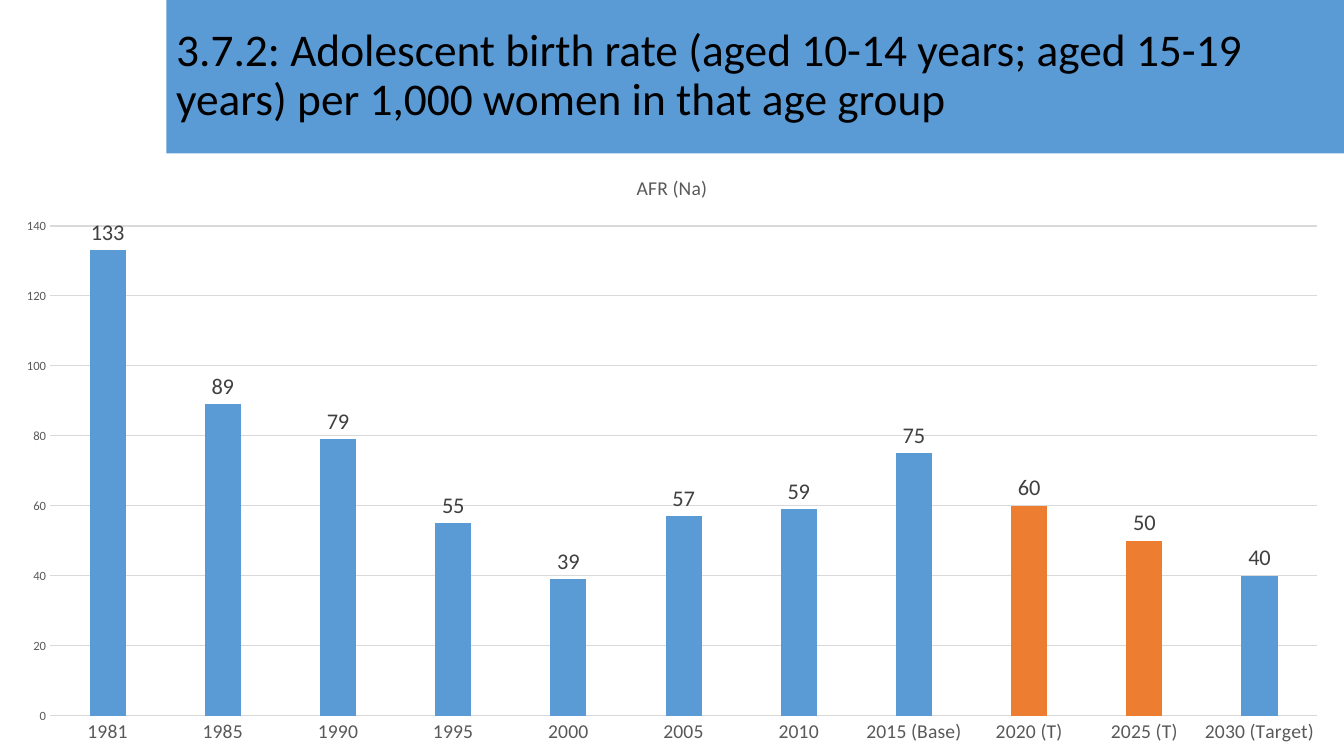
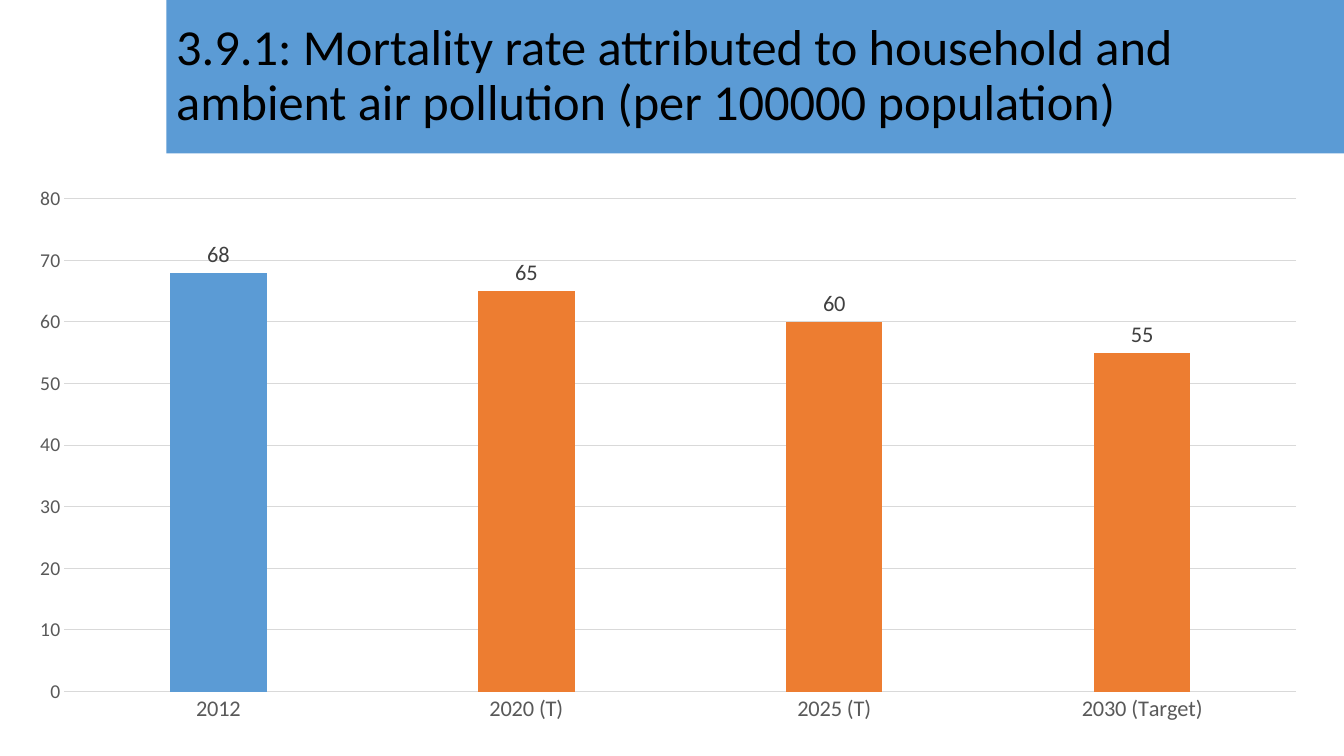
from pptx import Presentation
from pptx.chart.data import CategoryChartData
from pptx.dml.color import RGBColor
from pptx.enum.chart import XL_CHART_TYPE, XL_LABEL_POSITION, XL_TICK_MARK
from pptx.enum.shapes import MSO_SHAPE
from pptx.enum.text import MSO_ANCHOR, PP_ALIGN
from pptx.util import Pt

COLORS = {"blue": "5B9BD5", "orange": "ED7D31", "black": "000000",
          "axis": "595959", "label": "404040", "grid": "D9D9D9"}
FONT = "Calibri"
W, H = 960, 540
BAND_X, BAND_H = 118.8, 109.5


def rgb(name):
    return RGBColor.from_string(COLORS[name])


def set_font(font, size, color):
    font.name, font.size, font.bold = FONT, Pt(size), False
    font.color.rgb = rgb(color)


def set_fill(fmt, color):
    fmt.fill.solid()
    fmt.fill.fore_color.rgb = rgb(color)


def set_line(line, color):
    line.color.rgb = rgb(color)
    line.width = Pt(0.75)


def add_text(tf, text, size=36, color="black", align=PP_ALIGN.LEFT, spacing=None):
    p = tf.paragraphs[0]
    p.alignment = align
    p.line_spacing = spacing
    r = p.add_run()
    r.text = text
    set_font(r.font, size, color)


def add_title_band(s, text, size):
    sp = s.shapes.add_shape(MSO_SHAPE.RECTANGLE, Pt(BAND_X), Pt(0),
                            Pt(W - BAND_X), Pt(BAND_H))
    sp.shadow.inherit = False
    set_fill(sp, "blue")
    sp.line.fill.background()
    tf = sp.text_frame
    tf.word_wrap = True
    tf.vertical_anchor = MSO_ANCHOR.MIDDLE
    add_text(tf, text, size=size, spacing=0.9)


def add_column_chart(s, box, name, values, targets, cat_size, val_size, top, step,
                     title=None):
    data = CategoryChartData()
    data.categories = list(values)
    data.add_series(name, list(values.values()))
    chart = s.shapes.add_chart(XL_CHART_TYPE.COLUMN_CLUSTERED,
                               *[Pt(v) for v in box], data).chart
    set_font(chart.font, 10, "black")
    chart.has_legend = False
    chart.has_title = title is not None
    if title:
        add_text(chart.chart_title.text_frame, title, size=14, color="axis",
                 align=PP_ALIGN.CENTER)

    # Axes
    cat, val = chart.category_axis, chart.value_axis
    for axis, size in ((cat, cat_size), (val, val_size)):
        axis.major_tick_mark = axis.minor_tick_mark = XL_TICK_MARK.NONE
        set_font(axis.tick_labels.font, size, "axis")
    set_line(cat.format.line, "grid")
    val.format.line.fill.background()
    val.has_major_gridlines = True
    set_line(val.major_gridlines.format.line, "grid")
    val.minimum_scale, val.maximum_scale, val.major_unit = 0, top, step

    # Columns, with target years highlighted
    plot = chart.plots[0]
    plot.vary_by_categories = False
    plot.gap_width, plot.overlap = 219, -27
    series = plot.series[0]
    set_fill(series.format, "blue")
    series.invert_if_negative = False
    for i, year in enumerate(values):
        if year in targets:
            set_fill(series.points[i].format, "orange")

    # Value labels
    labels = series.data_labels
    labels.show_value = True
    labels.position = XL_LABEL_POSITION.OUTSIDE_END
    set_font(labels.font, 16, "label")


def main():
    prs = Presentation()
    prs.slide_width, prs.slide_height = Pt(W), Pt(H)
    blank = prs.slide_layouts[6]

    # Adolescent birth rate
    s = prs.slides.add_slide(blank)
    add_title_band(s, "3.7.2: Adolescent birth rate (aged 10-14 years; aged 15-19 "
                      "years) per 1,000 women in that age group", 32.4)
    births = {"1981": 133, "1985": 89, "1990": 79, "1995": 55, "2000": 39,
              "2005": 57, "2010": 59, "2015 (Base)": 75, "2020 (T)": 60,
              "2025 (T)": 50, "2030 (Target)": 40}
    add_column_chart(s, (0, BAND_H, W, H - BAND_H), "AFR (Na)", births,
                     ("2020 (T)", "2025 (T)"), cat_size=14, val_size=9,
                     top=140, step=20, title="AFR (Na)")

    # Air pollution mortality
    s = prs.slides.add_slide(blank)
    add_title_band(s, "3.9.1: Mortality rate attributed to household and ambient "
                      "air pollution (per 100000 population)", 36)
    deaths = {"2012": 68, "2020 (T)": 65, "2025 (T)": 60, "2030 (Target)": 55}
    add_column_chart(s, (10, 125.3, 934.5, 399), "Series 1", deaths,
                     ("2020 (T)", "2025 (T)", "2030 (Target)"), cat_size=16,
                     val_size=14, top=80, step=10)

    prs.save("out.pptx")


if __name__ == "__main__":
    main()
